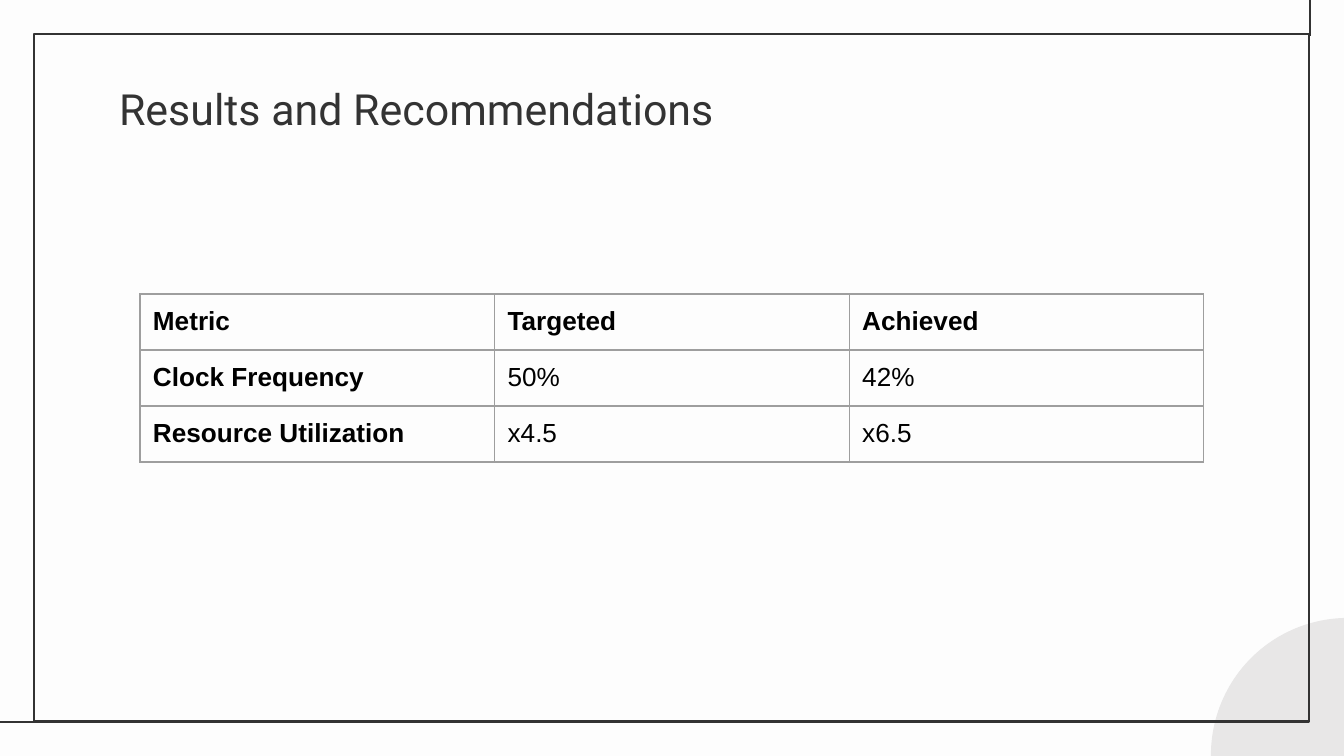
import pptx
import pptx.dml.color
import pptx.enum.shapes
import pptx.enum.text
import pptx.oxml
import pptx.oxml.ns
import pptx.util

PX = 914400 / 134.4
INK = "333333"
BORDER = "9E9E9E"
INSET = 13


def emu(px):
    """Turn pixels into EMU."""
    return pptx.util.Emu(round(px * PX))


def color(hex_text):
    return pptx.dml.color.RGBColor.from_string(hex_text)


deck = pptx.Presentation()
deck.slide_width = emu(1344)
deck.slide_height = emu(756)
page = deck.slides.add_slide(deck.slide_layouts[5])
page.background.fill.solid()
page.background.fill.fore_color.rgb = color("FDFDFD")

# Corner circle and frame
kinds = pptx.enum.shapes.MSO_SHAPE
circle = page.shapes.add_shape(kinds.OVAL, emu(1211), emu(618), emu(274), emu(274))
circle.shadow.inherit = False
circle.fill.solid()
circle.fill.fore_color.rgb = color("E8E7E7")
circle.line.fill.background()

frame = page.shapes.add_shape(kinds.RECTANGLE, emu(34), emu(34), emu(1275), emu(688))
frame.shadow.inherit = False
frame.fill.background()
frame.line.color.rgb = color(INK)
frame.line.width = pptx.util.Pt(1.5)

for ends in [(35, 722, -3, 722), (1310, 36, 1310, -3)]:
    line = page.shapes.add_connector(
        pptx.enum.shapes.MSO_CONNECTOR.STRAIGHT, *[emu(value) for value in ends])
    line.line.color.rgb = color(INK)
    line.line.width = pptx.util.Pt(1.5)
    line._element.spPr.append(pptx.oxml.parse_xml(
        f'<a:effectLst {pptx.oxml.ns.nsdecls("a")}/>'))

# Title, in front of the frame
title = page.shapes.title
title.element.getparent().append(title.element)
title.left, title.top, title.width, title.height = emu(106), emu(66), emu(1133), emu(85)
title_frame = title.text_frame
title_frame.text = "Results and Recommendations"
title_frame.word_wrap = True
title_frame.auto_size = pptx.enum.text.MSO_AUTO_SIZE.NONE
title_frame.vertical_anchor = pptx.enum.text.MSO_ANCHOR.MIDDLE
title_frame.margin_left = title_frame.margin_right = emu(INSET)
title_frame.margin_top = title_frame.margin_bottom = emu(INSET)
title_para = title_frame.paragraphs[0]
title_para.alignment = pptx.enum.text.PP_ALIGN.LEFT
title_font = title_para.runs[0].font
title_font.name = "Roboto"
title_font.size = pptx.util.Pt(23)
title_font.color.rgb = color(INK)

# Results table
results = [
    ["Metric", "Targeted", "Achieved"],
    ["Clock Frequency", "50%", "42%"],
    ["Resource Utilization", "x4.5", "x6.5"],
]
table = page.shapes.add_table(3, 3, emu(140), emu(294), emu(1064), emu(168)).table
table.first_row = False
table.horz_banding = False
for row in table.rows:
    row.height = emu(56)

for row_index, texts in enumerate(results):
    for column_index, text in enumerate(texts):
        cell = table.cell(row_index, column_index)
        cell.text = text
        cell.margin_left = cell.margin_right = emu(INSET)
        cell.margin_top = cell.margin_bottom = emu(INSET)
        cell.fill.background()
        font = cell.text_frame.paragraphs[0].runs[0].font
        font.name = "Arial"
        font.size = pptx.util.Pt(14)
        font.bold = row_index == 0 or column_index == 0
        font.color.rgb = color("000000")
        properties = cell._tc.get_or_add_tcPr()
        for position, side in enumerate(["lnL", "lnR", "lnT", "lnB"]):
            properties.insert(position, pptx.oxml.parse_xml(
                f'<a:{side} {pptx.oxml.ns.nsdecls("a")} w="{pptx.util.Pt(0.75)}">'
                f'<a:solidFill><a:srgbClr val="{BORDER}"/></a:solidFill></a:{side}>'))

deck.save("out.pptx")
